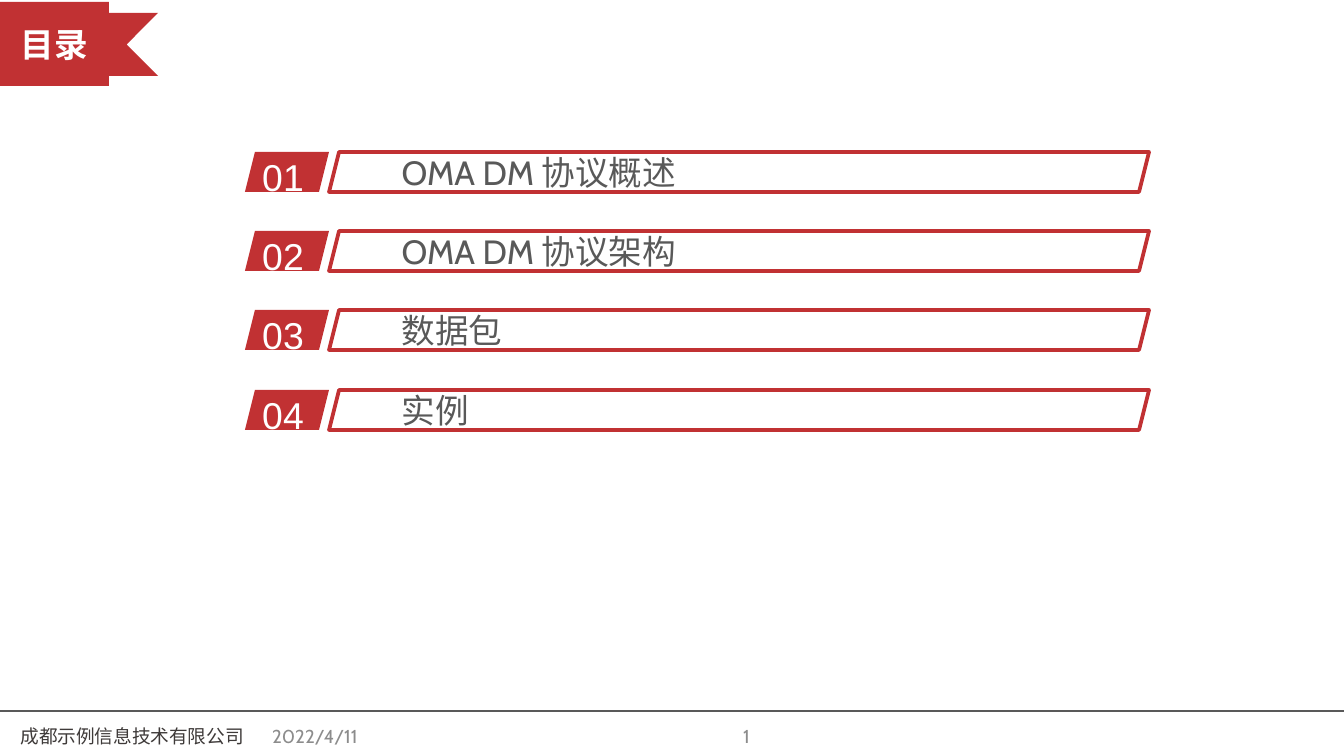
from dataclasses import dataclass
from lxml.etree import SubElement as Sub
from pptx import Presentation
from pptx.dml.color import RGBColor as RGB
from pptx.enum.shapes import MSO_CONNECTOR as Link, MSO_SHAPE as Kind
from pptx.enum.text import MSO_ANCHOR as Anchor, PP_ALIGN as Align
from pptx.oxml.ns import qn
from pptx.util import Emu, Pt


@dataclass(frozen=True)
class Theme:
    red: str = "C13133"
    white: str = "FFFFFF"
    text: str = "595959"
    pale: str = "8C8C8C"
    dark: str = "3E3A39"
    rule: str = "595959"
    latin: str = "Cabin"
    plain: str = "Arial"
    small: int = 10
    large: int = 18
    digit: int = 20


THEME = Theme()
SCALE = 914400 / 134.4
ITEMS = ("OMA DM 协议概述", "OMA DM 协议架构", "数据包", "实例")


def px(num):
    return Emu(round(num * SCALE))


def apply(target, values):
    for name, value in values.items():
        setattr(target, name, value)


def write(shape, text, color, font, frame=None, para=None):
    box = shape.text_frame
    apply(box, {"word_wrap": True, "vertical_anchor": Anchor.MIDDLE, **(frame or {})})
    line = box.paragraphs[0]
    apply(line, {"alignment": Align.LEFT, **(para or {})})
    run = line.add_run()
    run.text = text
    apply(run.font, font)
    run.font.color.rgb = RGB.from_string(color)


def label(shapes, area, *args, **kwargs):
    write(shapes.add_textbox(*map(px, area)), *args, **kwargs)


def block(shapes, kind, area, fill, edge=None):
    shape = shapes.add_shape(kind, *map(px, area))
    shape.shadow.inherit = False
    shape.fill.solid()
    shape.fill.fore_color.rgb = RGB.from_string(fill)
    if edge:
        shape.line.color.rgb = RGB.from_string(edge)
        shape.line.width = Pt(2)
    else:
        shape.line.fill.background()
    return shape


def fade(shape, share):
    color = shape.fill._xPr.find(qn("a:solidFill"))[0]
    Sub(color, qn("a:alpha")).set("val", str(share * 1000))


def header(slide):
    group = slide.shapes.add_group_shape().shapes
    block(group, Kind.CHEVRON, (52, 13, 106, 63), THEME.red).rotation = 180
    title = block(group, Kind.RECTANGLE, (0, 2, 109, 84), THEME.red)
    write(title, "目录", THEME.white,
          {"name": THEME.plain, "size": Pt(THEME.large), "bold": True},
          {"margin_top": px(21), "margin_bottom": px(21)},
          {"alignment": Align.CENTER})


def entry(slide, order, text, top):
    shapes = slide.shapes
    bar = block(shapes, Kind.PARALLELOGRAM, (329, top, 820, 40), THEME.white, THEME.red)
    fade(bar, 70)
    write(bar, text, THEME.text, {"name": THEME.latin, "size": Pt(THEME.large)},
          {"margin_left": 0, "margin_right": 0})
    block(shapes, Kind.PARALLELOGRAM, (245, top, 84, 40), THEME.red)
    label(shapes, (249, top - 4, 117, 47), f"{order:02d}", THEME.white,
          {"name": THEME.plain, "size": Pt(THEME.digit)},
          {"vertical_anchor": Anchor.TOP}, {"space_before": Pt(2)})


def footer(slide):
    rule = slide.shapes.add_connector(Link.STRAIGHT, 0, px(711), px(1344), px(711))
    rule.line.color.rgb = RGB.from_string(THEME.rule)
    rule.line.width = Pt(0.75)
    Sub(rule._element.spPr, qn("a:effectLst"))
    font = {"name": THEME.latin, "size": Pt(THEME.small)}
    for text, left, width, color, align in (
        ("2022/4/11", 259, 313, THEME.pale, Align.LEFT),
        ("成都示例信息技术有限公司", -112, 488, THEME.dark, Align.CENTER),
        ("1", 450, 313, THEME.pale, Align.RIGHT),
    ):
        label(slide.shapes, (left, 716, width, 40), text, color, font,
              para={"alignment": align})


def main():
    deck = Presentation()
    apply(deck, {"slide_width": px(1344), "slide_height": px(756)})
    slide = deck.slides.add_slide(deck.slide_layouts[6])
    header(slide)
    for index, text in enumerate(ITEMS):
        entry(slide, index + 1, text, 152 + index * 238 // 3)
    footer(slide)
    deck.save("out.pptx")


if __name__ == "__main__":
    main()
